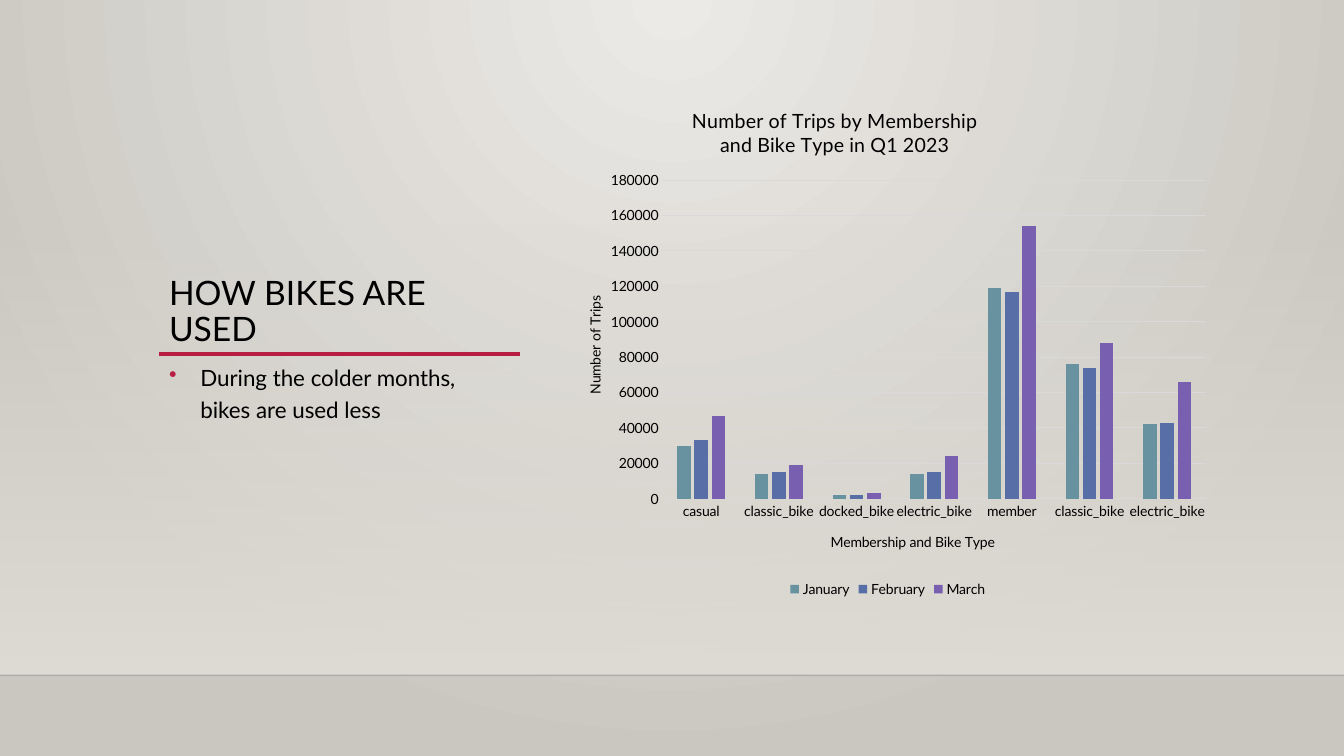
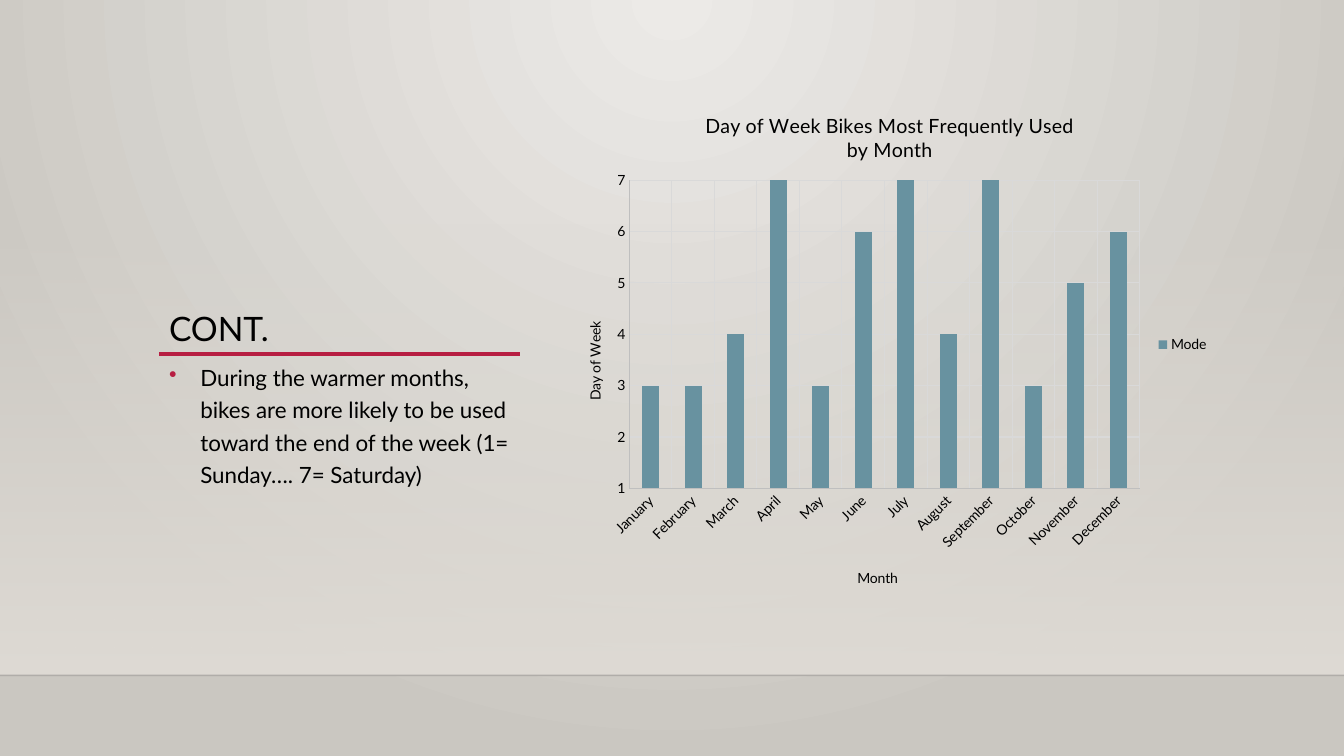
from dataclasses import dataclass

from lxml.etree import SubElement
from pptx import Presentation
from pptx.chart.data import CategoryChartData
from pptx.dml.color import RGBColor
from pptx.enum.chart import XL_CHART_TYPE, XL_LEGEND_POSITION, XL_TICK_MARK
from pptx.enum.shapes import MSO_CONNECTOR, MSO_SHAPE
from pptx.enum.text import MSO_ANCHOR
from pptx.oxml.ns import qn
from pptx.util import Cm, Pt


@dataclass(frozen=True)
class Theme:
    font: str = "Lato"
    text: str = "000000"
    accent: str = "B71E42"
    glow: str = "ECEAE7"
    edge: str = "CAC7C1"
    haze: str = "DFDBD5"
    horizon: str = "000001"
    grid: str = "D9D9D9"
    axis: str = "BFBFBF"
    series: tuple = ("6892A0", "586EA6", "795FAF")
    title_size: int = 24
    body_size: int = 16
    chart_title_size: int = 14
    chart_size: int = 10


@dataclass(frozen=True)
class ChartPlan:
    """Chart content; places are fractions of the chart's width and height."""
    title: str
    category_title: str
    value_title: str
    categories: tuple
    series: dict
    value_range: tuple
    legend: XL_LEGEND_POSITION
    gap: int
    overlap: int
    title_place: tuple
    category_title_place: tuple
    value_title_place: tuple
    plot_place: tuple
    category_line: str
    value_line: str = ""
    category_grid: bool = False
    label_rotation: int = 0


THEME = Theme()
WIDTH, HEIGHT = Cm(33.87), Cm(19.05)
COLUMN_LEFT, COLUMN_WIDTH = Cm(4.01), Cm(9.09)
CONTENT_TOP, RULE_TOP, HORIZON_TOP = Cm(2.21), Cm(8.92), Cm(17.02)
TEXT_HEIGHT = Cm(6.25)

TRIPS = ChartPlan(
    title="Number of Trips by Membership\nand Bike Type in Q1 2023",
    category_title="Membership and Bike Type",
    value_title="Number of Trips",
    categories=("casual", "classic_bike", "docked_bike", "electric_bike",
                "member", "classic_bike", "electric_bike"),
    series={
        "January": (30000, 14000, 2000, 14000, 119000, 76000, 42000),
        "February": (33000, 15000, 2000, 15000, 117000, 74000, 43000),
        "March": (47000, 19000, 3000, 24000, 154000, 88000, 66000),
    },
    value_range=(0, 180000, 20000),
    legend=XL_LEGEND_POSITION.BOTTOM,
    gap=219,
    overlap=-27,
    title_place=(0.2, 0.03),
    category_title_place=(0.41, 0.86),
    value_title_place=(0.04, 0.4),
    plot_place=(0.16, 0.18, 0.82, 0.62),
    category_line=THEME.grid,
)

WEEKDAYS = ChartPlan(
    title="Day of Week Bikes Most Frequently Used\nby Month",
    category_title="Month",
    value_title="Day of Week",
    categories=("January", "February", "March", "April", "May", "June", "July",
                "August", "September", "October", "November", "December"),
    series={"Mode": (3, 3, 4, 7, 3, 6, 7, 4, 7, 3, 5, 6)},
    value_range=(1, 7, 1),
    legend=XL_LEGEND_POSITION.RIGHT,
    gap=150,
    overlap=0,
    title_place=(0.22, 0.04),
    category_title_place=(0.45, 0.93),
    value_title_place=(0.04, 0.45),
    plot_place=(0.11, 0.18, 0.77, 0.6),
    category_line=THEME.axis,
    value_line=THEME.axis,
    category_grid=True,
    label_rotation=-45,
)


def rgb(color):
    return RGBColor.from_string(color)


def style_font(font, size):
    font.name = THEME.font
    font.size = Pt(size)
    font.bold = False
    font.color.rgb = rgb(THEME.text)


def style_line(line, color, width):
    line.color.rgb = rgb(color)
    line.width = Pt(width)


def set_alpha(color_element, percent):
    SubElement(color_element, qn("a:alpha")).set("val", str(percent * 1000))


def set_gradient(fill, colors):
    fill.gradient()
    for stop, color in zip(fill.gradient_stops, colors):
        stop.color.rgb = rgb(color)


def set_background(master):
    """Give every slide a glow that spreads from the top centre."""
    set_gradient(master.background.fill, (THEME.glow, THEME.edge))
    gradient = master.element.find(".//" + qn("a:gradFill"))
    gradient.remove(gradient.find(qn("a:lin")))
    circle = SubElement(gradient, qn("a:path"))
    circle.set("path", "circle")
    center = SubElement(circle, qn("a:fillToRect"))
    for side, percent in zip("ltrb", (43, 0, 43, 100)):
        center.set(side, str(percent * 1000))


def add_haze(slide):
    shape = slide.shapes.add_shape(
        MSO_SHAPE.RECTANGLE, 0, Cm(5.61), WIDTH, HORIZON_TOP - Cm(5.61))
    shape.shadow.inherit = False
    shape.line.fill.background()
    set_gradient(shape.fill, (THEME.haze, THEME.haze))
    shape.fill.gradient_angle = 270
    set_alpha(shape.element.find(".//" + qn("a:srgbClr")), 0)


def add_rule(slide, left, top, width, color, weight):
    connector = slide.shapes.add_connector(
        MSO_CONNECTOR.STRAIGHT, left, top, left + width, top)
    style_line(connector.line, color, weight)
    SubElement(connector.element.spPr, qn("a:effectLst"))
    return connector


def add_text(slide, top, text, size, line_spacing, anchor):
    box = slide.shapes.add_textbox(COLUMN_LEFT, top, COLUMN_WIDTH, TEXT_HEIGHT)
    frame = box.text_frame
    frame.word_wrap = True
    frame.vertical_anchor = anchor
    paragraph = frame.paragraphs[0]
    paragraph.text = text
    paragraph.line_spacing = line_spacing
    style_font(paragraph.font, size)
    return paragraph


def add_bullet(paragraph):
    properties = paragraph.font and paragraph._p.get_or_add_pPr()
    indent = Cm(0.79)
    properties.set("marL", str(indent))
    properties.set("indent", str(-indent))
    color = properties.makeelement(qn("a:buClr"))
    SubElement(color, qn("a:srgbClr")).set("val", THEME.accent)
    character = properties.makeelement(qn("a:buChar"), {"char": "•"})
    defaults = properties.find(qn("a:defRPr"))
    defaults.addprevious(color)
    defaults.addprevious(character)


def place(element, position):
    """Fix a chart part at (x, y) or (x, y, width, height)."""
    for old in element.findall(qn("c:layout")):
        element.remove(old)
    layout = element.makeelement(qn("c:layout"))
    element.insert(0 if element.find(qn("c:tx")) is None else 1, layout)
    manual = SubElement(layout, qn("c:manualLayout"))
    if len(position) == 4:
        SubElement(manual, qn("c:layoutTarget")).set("val", "inner")
    for mode in ("xMode", "yMode"):
        SubElement(manual, qn("c:" + mode)).set("val", "edge")
    for name, value in zip("xywh", position):
        SubElement(manual, qn("c:" + name)).set("val", str(value))


def rotate_text(element, degrees):
    body = element.find(".//" + qn("a:bodyPr"))
    body.set("rot", str(degrees * 60000))
    body.set("vert", "horz")


def set_chart_title(title, text, size, position):
    title.text_frame.text = text
    for paragraph in title.text_frame.paragraphs:
        style_font(paragraph.font, size)
    place(title.element, position)


def style_axis(axis, title, position, line_color, has_grid):
    axis.major_tick_mark = axis.minor_tick_mark = XL_TICK_MARK.NONE
    style_font(axis.tick_labels.font, THEME.chart_size)
    set_chart_title(axis.axis_title, title, THEME.chart_size, position)
    if line_color:
        style_line(axis.format.line, line_color, 0.75)
    else:
        axis.format.line.fill.background()
    axis.has_major_gridlines = has_grid
    if has_grid:
        style_line(axis.major_gridlines.format.line, THEME.grid, 0.75)


def add_column_chart(slide, plan):
    data = CategoryChartData(number_format="0")
    data.categories = plan.categories
    for name, values in plan.series.items():
        data.add_series(name, values)
    chart = slide.shapes.add_chart(
        XL_CHART_TYPE.COLUMN_CLUSTERED, Cm(14.02), CONTENT_TOP,
        Cm(16.71), Cm(12.95), data).chart
    style_font(chart.font, THEME.chart_size)
    set_chart_title(chart.chart_title, plan.title,
                    THEME.chart_title_size, plan.title_place)
    place(chart.element.find(".//" + qn("c:plotArea")), plan.plot_place)

    plot = chart.plots[0]
    plot.vary_by_categories = False
    plot.gap_width = plan.gap
    plot.overlap = plan.overlap
    for series, color in zip(plot.series, THEME.series):
        series.format.fill.solid()
        series.format.fill.fore_color.rgb = rgb(color)

    category_axis, value_axis = chart.category_axis, chart.value_axis
    style_axis(category_axis, plan.category_title, plan.category_title_place,
               plan.category_line, plan.category_grid)
    style_axis(value_axis, plan.value_title, plan.value_title_place,
               plan.value_line, True)
    rotate_text(value_axis.axis_title.element, -90)
    if plan.label_rotation:
        rotate_text(category_axis.tick_labels._element.find(qn("c:txPr")),
                    plan.label_rotation)
    (value_axis.minimum_scale, value_axis.maximum_scale,
     value_axis.major_unit) = plan.value_range

    chart.has_legend = True
    chart.legend.position = plan.legend
    chart.legend.include_in_layout = False
    style_font(chart.legend.font, THEME.chart_size)


def add_chart_slide(presentation, title, message, plan):
    slide = presentation.slides.add_slide(presentation.slide_layouts[6])
    add_haze(slide)
    horizon = add_rule(slide, 0, HORIZON_TOP, WIDTH, THEME.horizon, 1)
    set_alpha(horizon.element.find(".//" + qn("a:srgbClr")), 20)
    add_rule(slide, COLUMN_LEFT, RULE_TOP, COLUMN_WIDTH, THEME.accent, 2.5)
    add_text(slide, RULE_TOP - TEXT_HEIGHT, title, THEME.title_size, 0.9,
             MSO_ANCHOR.BOTTOM)
    body = add_text(slide, RULE_TOP, message, THEME.body_size, 1.2,
                    MSO_ANCHOR.TOP)
    body.space_before = Pt(10)
    add_bullet(body)
    add_column_chart(slide, plan)


def main():
    presentation = Presentation()
    presentation.slide_width, presentation.slide_height = WIDTH, HEIGHT
    set_background(presentation.slide_master)
    add_chart_slide(presentation, "HOW BIKES ARE USED",
                    "During the colder months, bikes are used less", TRIPS)
    add_chart_slide(presentation, "CONT.",
                    "During the warmer months, bikes are more likely to be used "
                    "toward the end of the week (1= Sunday…. 7= Saturday)",
                    WEEKDAYS)
    presentation.save("out.pptx")


if __name__ == "__main__":
    main()
